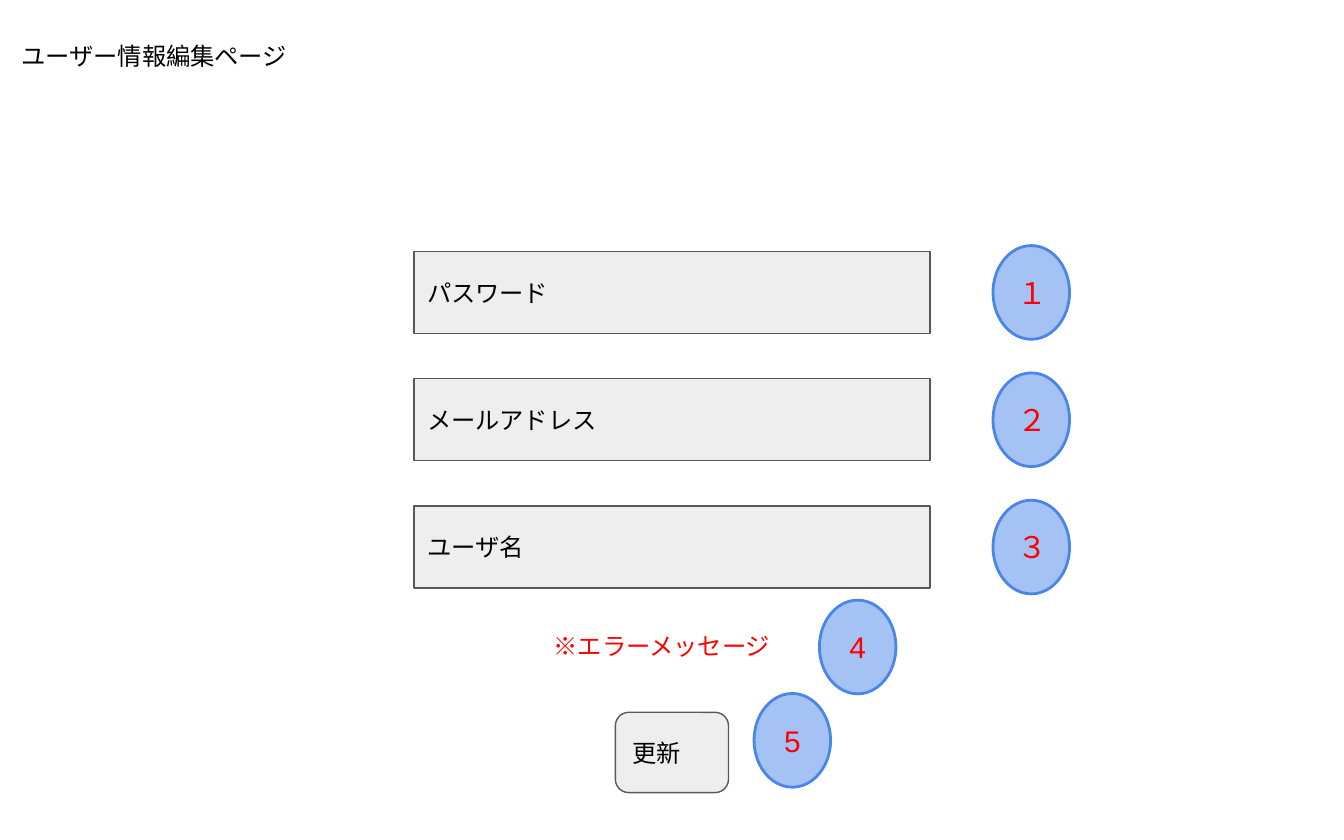
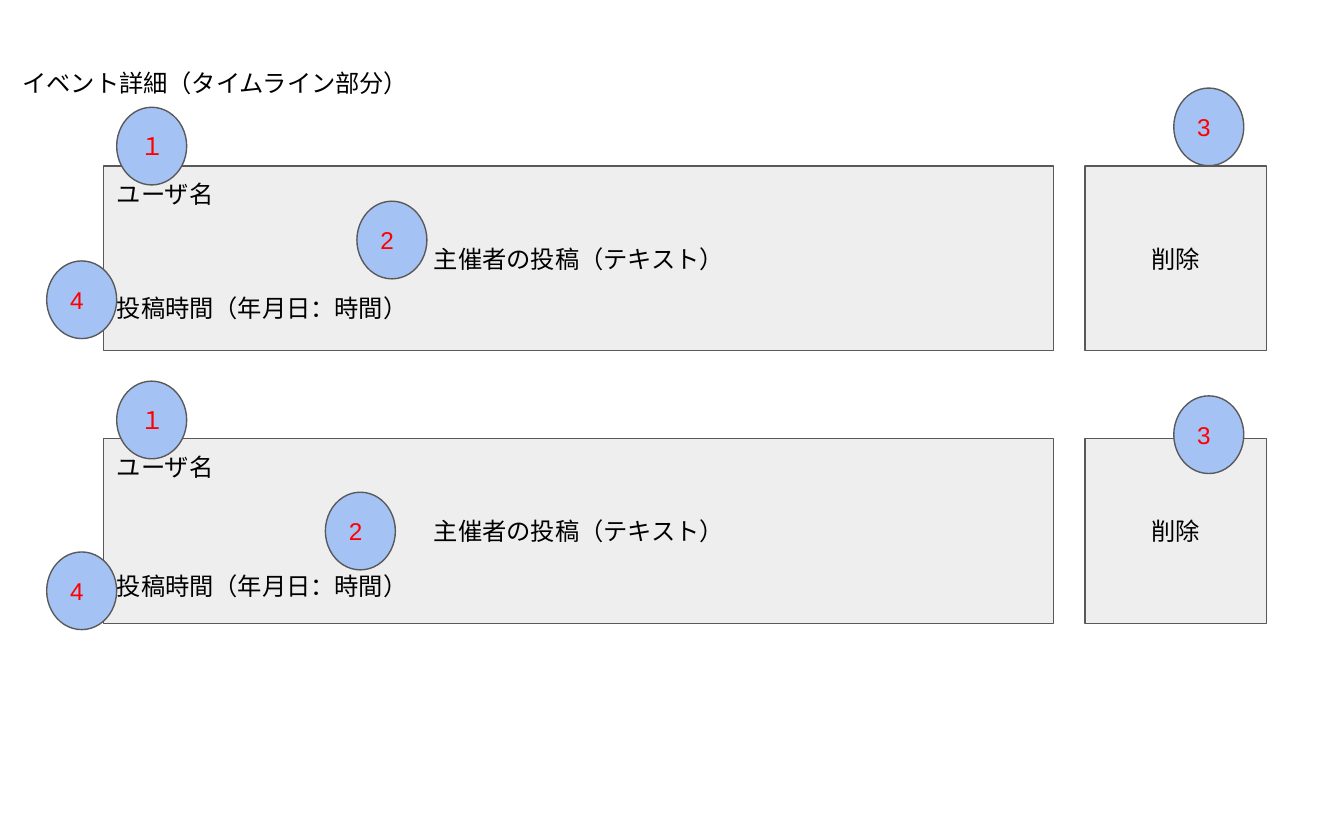
from pptx import Presentation
from pptx.dml.color import RGBColor
from pptx.enum import shapes, text
from pptx.util import Pt

BLACK = RGBColor(0x00, 0x00, 0x00)
RED = RGBColor(0xFF, 0x00, 0x00)
PANEL_GRAY = RGBColor(0xEE, 0xEE, 0xEE)
OUTLINE_GRAY = RGBColor(0x59, 0x59, 0x59)
BADGE_BLUE = RGBColor(0xA4, 0xC2, 0xF4)
BADGE_OUTLINE = RGBColor(0x4A, 0x86, 0xE8)

FONT = "Arial"
TEXT_SIZE = 13
INSET = 7.2
LEFT, CENTER = text.PP_ALIGN.LEFT, text.PP_ALIGN.CENTER
KIND = shapes.MSO_SHAPE


def write(shape, words, size=TEXT_SIZE, color=BLACK, align=LEFT,
          anchor=text.MSO_ANCHOR.MIDDLE):
    frame = shape.text_frame
    frame.word_wrap = True
    frame.vertical_anchor = anchor
    frame.margin_left = frame.margin_right = Pt(INSET)
    frame.margin_top = frame.margin_bottom = Pt(INSET)
    paragraph = frame.paragraphs[0]
    paragraph.text = words
    paragraph.alignment = align
    paragraph.font.name = FONT
    paragraph.font.size = Pt(size)
    paragraph.font.color.rgb = color


def add_label(slide, words, left, top, width, height, color=BLACK, grow=False):
    box = slide.shapes.add_textbox(Pt(left), Pt(top), Pt(width), Pt(height))
    write(box, words, color=color, anchor=text.MSO_ANCHOR.TOP)
    if grow:
        box.text_frame.auto_size = text.MSO_AUTO_SIZE.SHAPE_TO_FIT_TEXT


def add_panel(slide, words, left, top, width, height, kind=KIND.RECTANGLE,
              fill=PANEL_GRAY, line=OUTLINE_GRAY, line_width=0.75, **style):
    shape = slide.shapes.add_shape(kind, Pt(left), Pt(top), Pt(width), Pt(height))
    shape.shadow.inherit = False
    shape.fill.solid()
    shape.fill.fore_color.rgb = fill
    shape.line.color.rgb = line
    shape.line.width = Pt(line_width)
    write(shape, words, **style)


def add_form_badge(slide, number, left, top):
    add_panel(slide, number, left, top, 41, 50.2, KIND.OVAL, BADGE_BLUE,
              BADGE_OUTLINE, 1.5, size=16, color=RED, align=CENTER)


def add_post_badge(slide, number, left, top):
    add_panel(slide, number, left, top, 37.5, 41.6, KIND.OVAL, BADGE_BLUE,
              color=RED)


def build_edit_page(slide):
    add_label(slide, "ユーザー情報編集ページ", 4.5, 15, 173.5, 34.5)

    # Input fields, each with a badge centred beside it
    fields = [("パスワード", "１"), ("メールアドレス", "２"), ("ユーザ名", "３")]
    for row, (name, number) in enumerate(fields):
        top = 134.7 + 68.2 * row
        add_panel(slide, name, 221.8, top, 276.5, 43.9)
        add_form_badge(slide, number, 532, top - 3.15)

    # Error message and update button
    add_label(slide, "※エラーメッセージ", 289.5, 331, 142, 30, color=RED)
    add_form_badge(slide, "4", 439, 321.5)
    add_panel(slide, "更新", 329.7, 381.6, 60.6, 43, KIND.ROUNDED_RECTANGLE)
    add_form_badge(slide, "5", 404, 371.5)


def add_post(slide, top, time_top, badges):
    add_panel(slide, "主催者の投稿（テキスト）", 55.6, top, 509, 99, align=CENTER)
    add_label(slide, "ユーザ名", 55.6, top, 105, 28)
    add_panel(slide, "削除", 581.2, top, 97.3, 99, align=CENTER)
    for number, left, badge_top in badges:
        add_post_badge(slide, number, left, badge_top)
    add_label(slide, "投稿時間（年月日：時間）", 55.6, time_top, 185, 29.5, grow=True)


def build_timeline(slide):
    add_label(slide, "イベント詳細（タイムライン部分）", 5, 29.5, 268.5, 29.5, grow=True)
    add_post(slide, 88.9, 149.8, [
        ("１", 62.5, 57.5), ("2", 191.2, 107.8),
        ("3", 628.8, 47.2), ("4", 25, 139.8)])
    add_post(slide, 235, 298.8, [
        ("１", 62.5, 204.2), ("2", 174.3, 263.7),
        ("3", 628.8, 212.1), ("4", 25, 295.7)])


def main():
    presentation = Presentation()
    presentation.slide_width = Pt(720)
    presentation.slide_height = Pt(450)
    for build in (build_edit_page, build_timeline):
        build(presentation.slides.add_slide(presentation.slide_layouts[6]))
    presentation.save("out.pptx")


if __name__ == "__main__":
    main()
